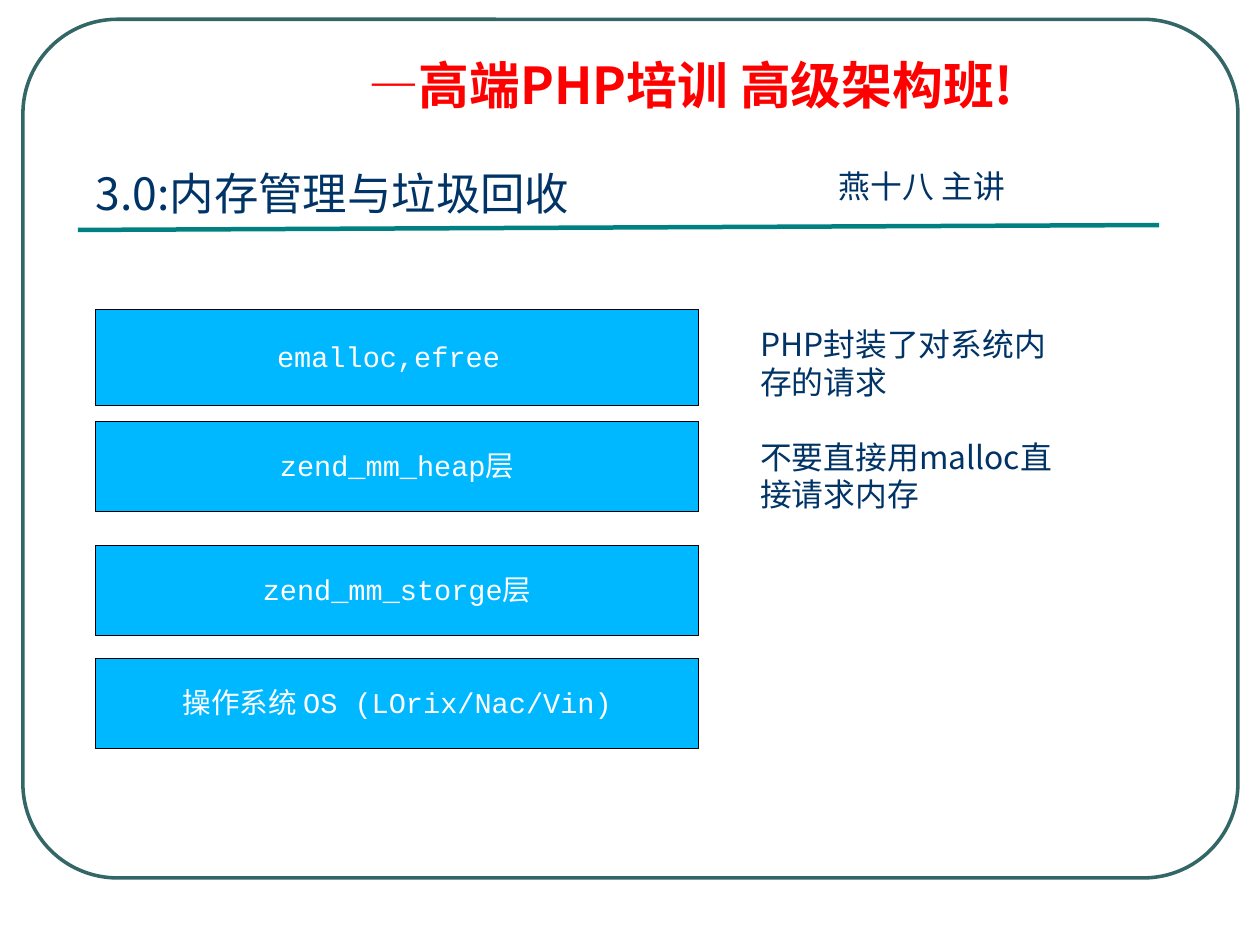
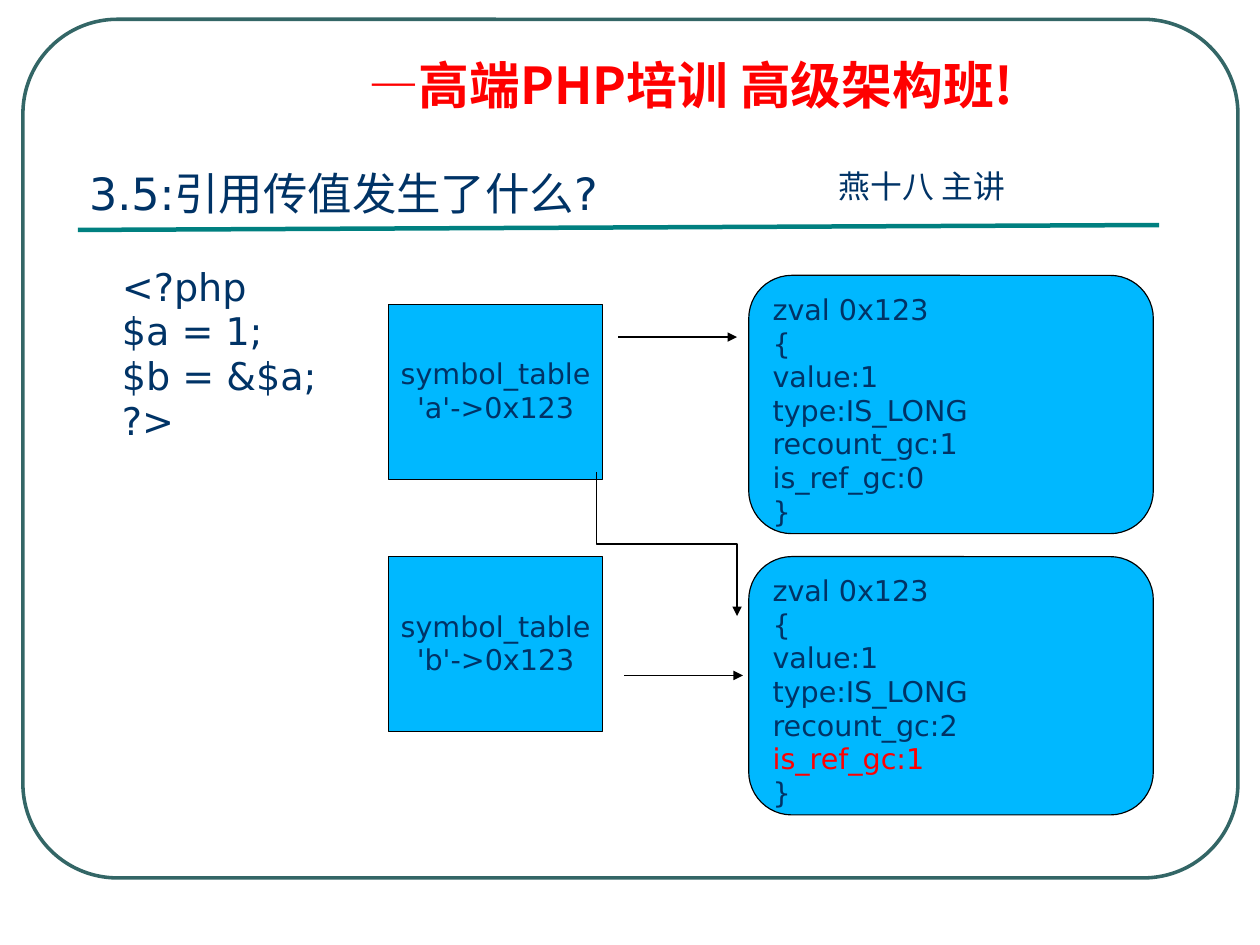
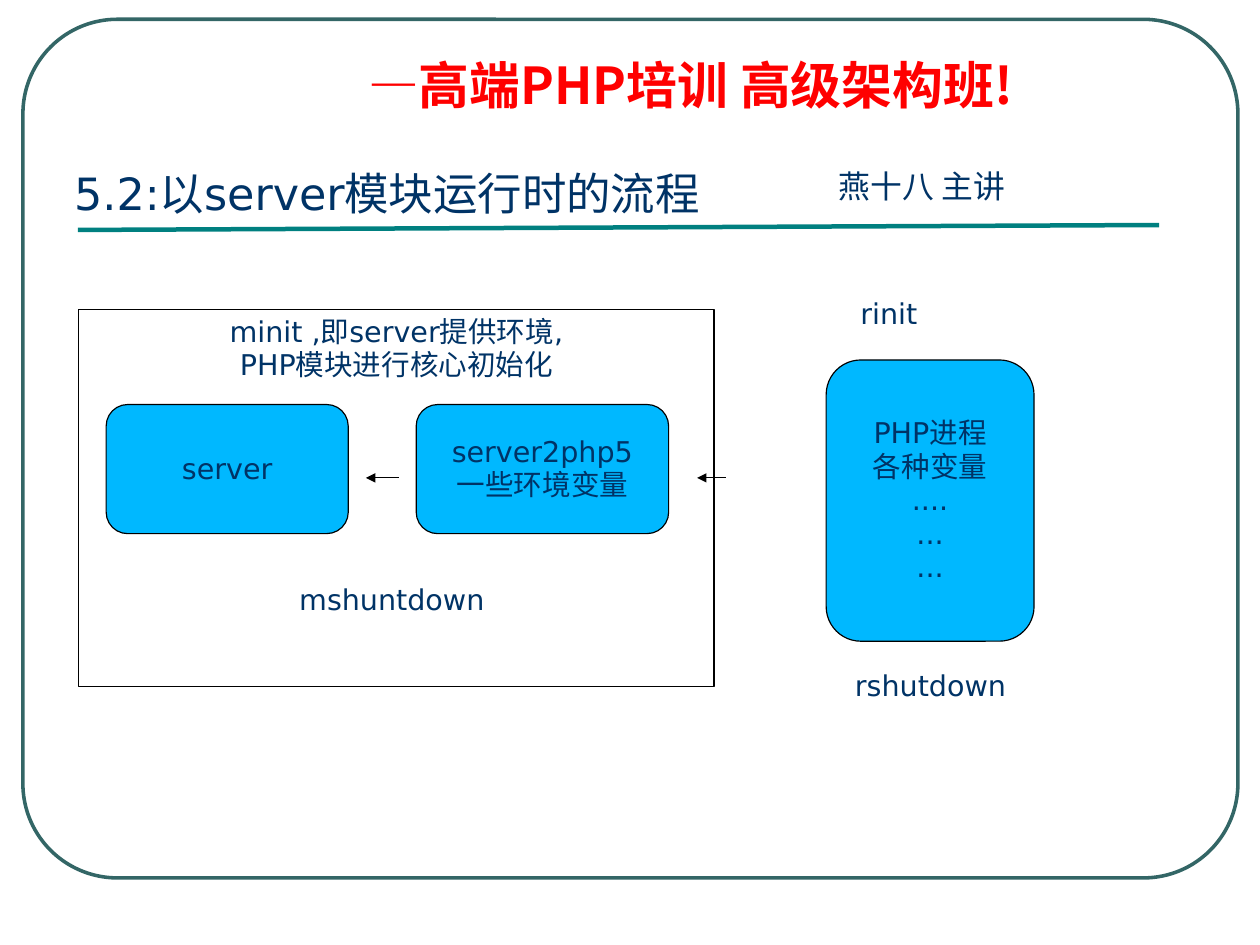
from lxml.etree import SubElement
from pptx import Presentation
from pptx.dml.color import RGBColor
from pptx.enum.shapes import MSO_CONNECTOR, MSO_SHAPE
from pptx.enum.text import MSO_ANCHOR, PP_ALIGN
from pptx.oxml.ns import qn
from pptx.util import Cm, Pt

SANS, CJK, MONO = "DejaVu Sans", "Noto Sans CJK SC", "Courier New"
NAVY, RED, BLUE, WHITE, BLACK = "003366", "FF0000", "00B8FF", "FFFFFF", "000000"
FRAME_GREEN, RULE_TEAL = "336666", "008080"
LEFT, CENTER = PP_ALIGN.LEFT, PP_ALIGN.CENTER
RECT, ROUND = MSO_SHAPE.RECTANGLE, MSO_SHAPE.ROUNDED_RECTANGLE
PROCESS = MSO_SHAPE.FLOWCHART_ALTERNATE_PROCESS

# Lengths are centimetres, text sizes and line widths are points.
BANNER = "—高端PHP培训 高级架构班!"
LECTURER = "燕十八 主讲"

MEMORY_TITLE = ("3.0:内存管理与垃圾回收", 1.88, CJK)
MEMORY_LAYERS = [  # text, top, height
    ("emalloc,efree ", 6.88, 2.13),
    ("zend_mm_heap层", 9.37, 2),
    ("zend_mm_storge层", 12.12, 2),
    ("操作系统 OS (LOrix/Nac/Vin)", 14.63, 2),
]
MEMORY_NOTES = ["PHP封装了对系统内存的请求", "不要直接用malloc直接请求内存"]

REFERENCE_TITLE = ("3.5:引用传值发生了什么?", 1.73, SANS)
REFERENCE_CODE = ["<?php", "$a = 1;", "$b = &$a;", "?>"]
SYMBOLS = [("a", 6.76), ("b", 12.37)]  # variable, top
ZVALS = [  # recount, is_ref, colour of is_ref, top
    (1, 0, NAVY, 6.12),
    (2, 1, RED, 12.37),
]
REFERENCE_ARROWS = [((13.74, 7.49), (16.38, 7.49)), ((13.87, 15.01), (16.51, 15.01))]
REFERENCE_ELBOW = ((13.26, 10.49), (16.38, 13.69))

MODULE_TITLE = ("5.2:以server模块运行时的流程", 1.4, SANS)
MODULE_STAGE = ["minit ,即server提供环境,", "PHP模块进行核心初始化", "mshuntdown "]
MODULE_BOXES = [  # lines, left, top, width, height
    (["server"], 2.36, 8.99, 5.38, 2.87),
    (["server2php5", "一些环境变量"], 9.25, 8.99, 5.61, 2.87),
    (["PHP进程", "各种变量", "....", "...", "..."], 18.36, 8, 4.62, 6.25),
]
MODULE_LABELS = [("rinit", 18.87, 6.5), ("rshutdown", 18.75, 14.76)]
MODULE_ARROWS = [((8.86, 10.62), (8.13, 10.62)), ((16.13, 10.62), (15.49, 10.62))]


def rgb(value):
    return RGBColor.from_string(value)


def write(box, lines, size=18, font=SANS, color=NAVY, bold=False, align=LEFT,
          anchor=MSO_ANCHOR.TOP, wrap=True, spacing=0.98):
    """Fill a box; a line is a string or a (string, colour) pair."""
    frame = box.text_frame
    frame.word_wrap = wrap
    frame.vertical_anchor = anchor
    for index, line in enumerate(lines):
        text, shade = (line, color) if isinstance(line, str) else line
        para = frame.add_paragraph() if index else frame.paragraphs[0]
        para.alignment, para.line_spacing = align, spacing
        span = para.add_run()
        span.text = text
        for name, value in {"size": Pt(size), "name": font, "bold": bold}.items():
            setattr(span.font, name, value)
        span.font.color.rgb = rgb(shade)
        SubElement(span.font._element, qn("a:ea"), typeface=CJK)
    return frame.paragraphs


def add_text(page, place, lines, **style):
    return write(page.shapes.add_textbox(*map(Cm, place)), lines, **style)


def add_box(page, kind, place, fill=BLUE, line=BLACK, width=0.75):
    box = page.shapes.add_shape(kind, *map(Cm, place))
    box.shadow.inherit = False
    if fill:
        box.fill.solid()
        box.fill.fore_color.rgb = rgb(fill)
    else:
        box.fill.background()
    box.line.color.rgb = rgb(line)
    box.line.width = Pt(width)
    return box


def add_label_box(page, kind, place, lines, **style):
    """Add a blue box with its text centred both ways."""
    write(add_box(page, kind, place), lines, align=CENTER,
          anchor=MSO_ANCHOR.MIDDLE, wrap=False, **style)


def add_line(page, start, end, color=BLACK, width=0.75, arrow=True,
             kind=MSO_CONNECTOR.STRAIGHT):
    connector = page.shapes.add_connector(kind, *map(Cm, start + end))
    connector.line.color.rgb = rgb(color)
    connector.line.width = Pt(width)
    properties = connector.element.spPr
    if arrow:
        SubElement(properties.find(qn("a:ln")), qn("a:tailEnd"), type="triangle")
    SubElement(properties, qn("a:effectLst"))
    return connector


def add_upright_elbow(page, start, end):
    """Add an elbow arrow that leaves and arrives vertically, by a quarter turn."""
    (x1, y1), (x2, y2) = start, end
    middle_x, middle_y = (x1 + x2) / 2, (y1 + y2) / 2
    half_x, half_y = (x2 - x1) / 2, (y2 - y1) / 2
    elbow = add_line(page, (middle_x + half_y, middle_y - half_x),
                     (middle_x - half_y, middle_y + half_x), kind=MSO_CONNECTOR.ELBOW)
    elbow.element.spPr.find(qn("a:xfrm")).set("rot", str(270 * 60000))


def add_page(deck, title, left, font):
    """Add a blank slide with the shared frame, banner, rule and title."""
    page = deck.slides.add_slide(deck.slide_layouts[6])
    banner = add_text(page, (7.9, 1.22, 17.5, 1.47), [BANNER], size=32, font=CJK,
                      color=RED, bold=True, spacing=0.9)[0]
    banner.space_before = Pt(8.2)
    indents = banner._p.get_or_add_pPr()
    indents.set("marL", str(Cm(0.97)))
    indents.set("indent", str(Cm(-0.94)))
    frame = add_box(page, ROUND, (0.51, 0.43, 27, 19.08), None, FRAME_GREEN, 2.25)
    frame.adjustments[0] = 0.11
    add_line(page, (1.73, 5.11), (25.76, 5), RULE_TEAL, 2.83, arrow=False)
    add_text(page, (18.39, 3.63, 4.72, 1.09), [LECTURER], size=20, font=CJK)
    add_text(page, (left, 3.63, 16.5, 1.42), [title], size=28, font=font)
    return page


def build_memory(deck):
    page = add_page(deck, *MEMORY_TITLE)
    for text, top, height in MEMORY_LAYERS:
        add_label_box(page, RECT, (2.13, top, 13.39, height), [text],
                      font=MONO, color=WHITE)
    notes = add_text(page, (16.64, 7.14, 7.34, 4.42), MEMORY_NOTES, size=20, font=CJK)
    notes[-1].space_before = Pt(24)


def build_reference(deck):
    page = add_page(deck, *REFERENCE_TITLE)
    add_text(page, (2.46, 5.77, 13.03, 4.24), REFERENCE_CODE, size=24)
    for variable, top in SYMBOLS:
        add_label_box(page, RECT, (8.64, top, 4.75, 3.89),
                      ["symbol_table", f"'{variable}'->0x123"])
    for recount, is_ref, color, top in ZVALS:
        lines = ["zval 0x123", "{", "value:1", "type:IS_LONG",
                 f"recount_gc:{recount}", (f"is_ref_gc:{is_ref}", color), "}"]
        write(add_box(page, PROCESS, (16.64, top, 8.99, 5.74)), lines)
    for start, end in REFERENCE_ARROWS:
        add_line(page, start, end)
    add_upright_elbow(page, *REFERENCE_ELBOW)


def build_module(deck):
    page = add_page(deck, *MODULE_TITLE)
    stage = add_box(page, RECT, (1.75, 6.88, 14.12, 8.38), fill=None)
    write(stage, MODULE_STAGE, align=CENTER)[-1].space_before = Pt(127)
    for lines, *place in MODULE_BOXES:
        add_label_box(page, ROUND, place, lines)
    for text, left, top in MODULE_LABELS:
        add_text(page, (left, top, 4.27, 1.02), [text])
    for start, end in MODULE_ARROWS:
        add_line(page, start, end)


def main():
    deck = Presentation()
    deck.slide_width, deck.slide_height = Cm(28), Cm(21)
    for build in (build_memory, build_reference, build_module):
        build(deck)
    deck.save("out.pptx")


if __name__ == "__main__":
    main()
